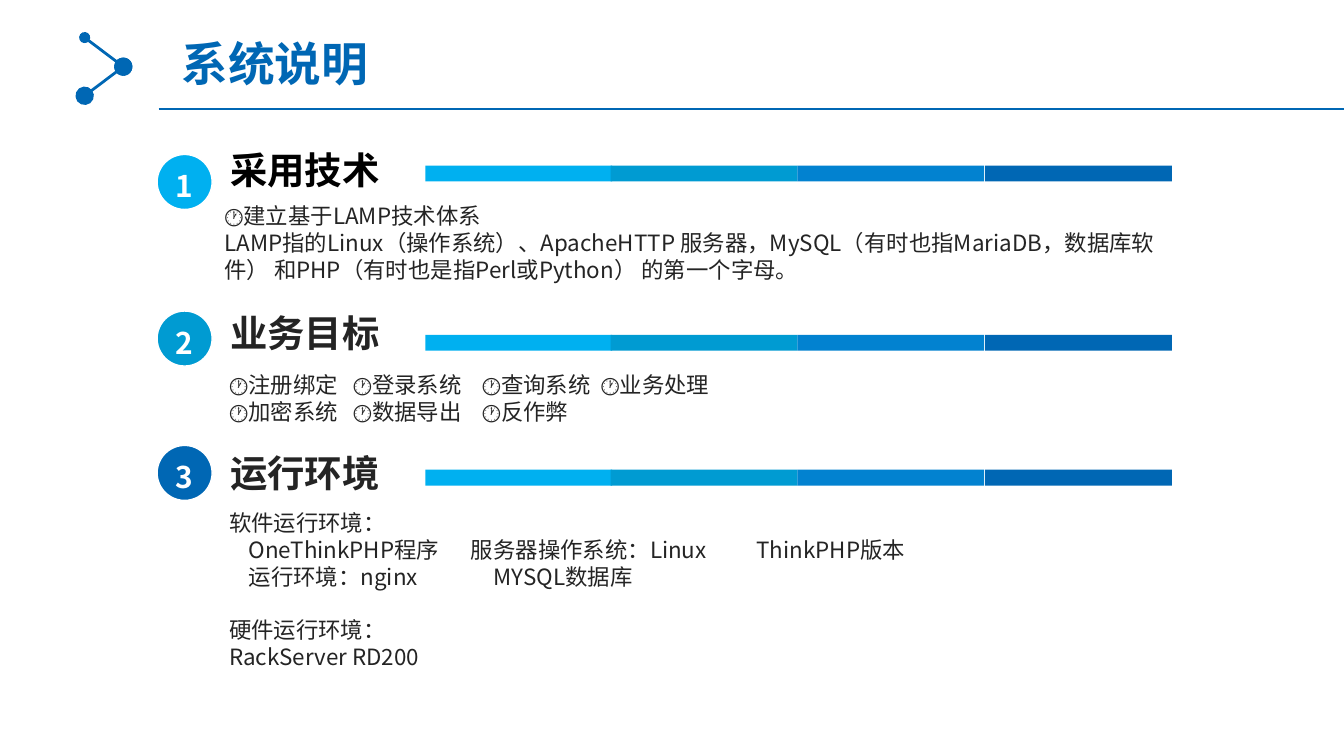
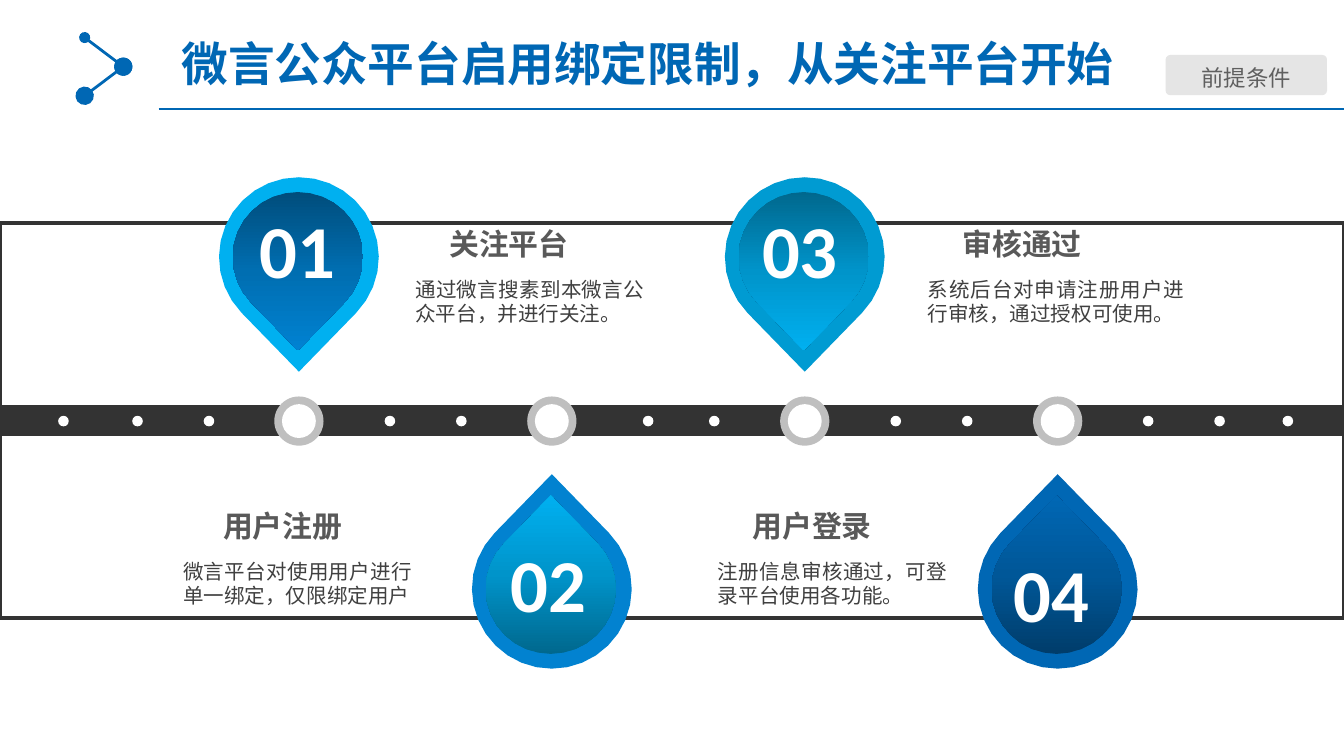
from copy import deepcopy
from math import acos, cos, pi, sin

from lxml.etree import SubElement
from pptx import Presentation
from pptx.dml.color import RGBColor
from pptx.enum.shapes import MSO_CONNECTOR, MSO_SHAPE
from pptx.enum.text import MSO_ANCHOR, MSO_AUTO_SIZE, PP_ALIGN
from pptx.oxml.ns import qn
from pptx.util import Cm, Pt

NOTO = "Noto Sans CJK SC"
SKY, TEAL, AZURE, NAVY = BLUES = "00B0F0", "009BD2", "0282D0", "0067B4"
WHITE, INK, ROAD = "FFFFFF", "242424", "333333"
TIGHT = (0.18, 0.1)
LOOSE = (0.25, 0.13)


def style(size, color, bold=False, name=NOTO, lead=1.2, align=None):
    """Bundle font values, line height in ems and alignment."""
    return {
        "font": {"size": Pt(size), "bold": bold, "name": name},
        "color": color,
        "para": {"line_spacing": Pt(size * lead) if lead else None,
                 "alignment": align},
    }


TITLE = style(25, NAVY, True, "Arial", 1.16)
TOPIC = style(20, INK, True)
FIRST = style(20, "000000", True, "Arial")
BODY = style(12, INK)
BADGE = style(16, WHITE, True, align=PP_ALIGN.CENTER)
COUNT = style(40, WHITE, True, "Calibri", None, PP_ALIGN.CENTER)
STEP = style(16, "595959", True, lead=1.18, align=PP_ALIGN.CENTER)
NOTE = style(11, "404040", align=PP_ALIGN.JUSTIFY)
TAG = style(12, "5F5F5F", lead=1.4, align=PP_ALIGN.CENTER)


def rgb(code):
    return RGBColor.from_string(code)


def apply(target, values):
    for key, value in values.items():
        setattr(target, key, value)


def write(frame, lines, look, pad=LOOSE, tabs=(), gaps=None):
    """Fill a frame; tabs holds stops per line, gaps points before a line."""
    apply(frame, {"margin_left": Cm(pad[0]), "margin_right": Cm(pad[0]),
                  "margin_top": Cm(pad[1]), "margin_bottom": Cm(pad[1])})
    for i, line in enumerate(lines):
        para = frame.paragraphs[0] if i == 0 else frame.add_paragraph()
        apply(para, look["para"])
        if gaps and i in gaps:
            para.space_before = Pt(gaps[i])
        if i < len(tabs) and tabs[i]:
            stops = SubElement(para._p.get_or_add_pPr(), qn("a:tabLst"))
            for stop in tabs[i]:
                SubElement(stops, qn("a:tab"), pos=str(Cm(stop)), algn="l")
        run = para.add_run()
        run.text = line
        apply(run.font, look["font"])
        run.font.color.rgb = rgb(look["color"])
        SubElement(run._r.get_or_add_rPr(), qn("a:ea"), typeface=NOTO)


def label(slide, box, lines, look, wrap=True, **more):
    frame = slide.shapes.add_textbox(*map(Cm, box)).text_frame
    apply(frame, {"word_wrap": wrap,
                  "auto_size": MSO_AUTO_SIZE.SHAPE_TO_FIT_TEXT})
    write(frame, lines, look, **more)


def paint(shape, fill, edge=None, width=0.75):
    shape.shadow.inherit = False
    shape.fill.solid()
    shape.fill.fore_color.rgb = rgb(fill)
    if edge:
        shape.line.color.rgb = rgb(edge)
        shape.line.width = Pt(width)
    else:
        shape.line.fill.background()


def block(slide, kind, box, fill, edge=None, width=0.75):
    shape = slide.shapes.add_shape(kind, *map(Cm, box))
    paint(shape, fill, edge, width)
    return shape


def disc(slide, x, y, size, fill, edge=None):
    """Draw a circle around the centre x, y."""
    box = (x - size / 2, y - size / 2, size, size)
    return block(slide, MSO_SHAPE.OVAL, box, fill, edge)


def link(slide, start, end, width, ends=()):
    """Draw a line; ends lists the sizes of its round heads."""
    line = slide.shapes.add_connector(
        MSO_CONNECTOR.STRAIGHT, *map(Cm, start + end))
    line.line.color.rgb = rgb(NAVY)
    line.line.width = Pt(width)
    for tag, size in zip(("a:headEnd", "a:tailEnd"), ends):
        SubElement(line.line._get_or_add_ln(), qn(tag),
                   type="oval", w=size, len=size)
    SubElement(line._element.spPr, qn("a:effectLst"))


def head(slide, title, width):
    label(slide, (3.18, 0.56, width, 1.37), [title], TITLE, wrap=False)
    top, mid, low = (1.6, 0.71), (2.33, 1.26), (1.6, 1.81)
    link(slide, top, mid, 1.5, ("med", "lg"))
    link(slide, mid, low, 1.5, ("lg", "lg"))
    link(slide, (3, 2.06), (25.4, 2.06), 1)


def drop(slide, x, y, size, way, fill):
    """Draw a round drop whose tip points down (way 1) or up (way -1)."""
    reach = 1.435
    open_at = acos(1 / reach)
    count = 24
    step = (2 * pi - 2 * open_at) / count
    turns = [open_at + step * i for i in range(count + 1)]
    points = [(Cm(x + size * sin(t)), Cm(y + way * size * cos(t)))
              for t in turns]
    build = slide.shapes.build_freeform(Cm(x), Cm(y + way * reach * size))
    build.add_line_segments(points, close=True)
    shape = build.convert_to_shape()
    paint(shape, fill)
    return shape


def shade(shape, colors, angle):
    fill = shape.fill
    fill.gradient()
    fill.gradient_angle = angle
    stops = shape._element.spPr.find(".//" + qn("a:gsLst"))
    stops.insert(1, deepcopy(stops[0]))
    for i, (stop, color) in enumerate(zip(fill.gradient_stops, colors)):
        stop.position = i / 2
        stop.color.rgb = rgb(color)


def topic(slide, mark, name, look, color, tops):
    """Draw badge, name and bar; tops gives the height of each."""
    badge, text, bar = tops
    label(slide, (4.17, text, 7.9, 1.09), [name], look, pad=TIGHT)
    shape = disc(slide, 3.49, badge, 1.04, color, WHITE)
    shape.text_frame.vertical_anchor = MSO_ANCHOR.TOP
    write(shape.text_frame, [mark], BADGE, TIGHT)
    for left, blue in zip((8.04, 11.54, 15.07, 18.62), BLUES):
        block(slide, MSO_SHAPE.RECTANGLE, (left, bar, 3.53, 0.3), blue)


def system(slide):
    head(slide, "系统说明", 4.04)
    topic(slide, "1", "采用技术", FIRST, SKY, (3.44, 2.69, 3.13))
    topic(slide, "2", "业务目标", TOPIC, TEAL, (6.4, 5.77, 6.33))
    topic(slide, "3", "运行环境", TOPIC, NAVY, (8.94, 8.41, 8.88))
    label(slide, (4.06, 3.73, 18.52, 1.75), [
        "🕐建立基于LAMP技术体系",
        "LAMP指的Linux（操作系统）、ApacheHTTP 服务器，MySQL"
        "（有时也指MariaDB，数据库软件） 和PHP"
        "（有时也是指Perl或Python） 的第一个字母。",
    ], BODY, pad=TIGHT)
    goals = (2.34, 4.78, 7.02)
    label(slide, (4.15, 6.92, 18.52, 1.24), [
        "🕐注册绑定\t🕐登录系统\t🕐查询系统\t🕐业务处理",
        "🕐加密系统\t🕐数据导出\t🕐反作弊",
    ], BODY, pad=TIGHT, tabs=(goals, goals))
    label(slide, (4.15, 9.52, 18.52, 3.78), [
        "软件运行环境：",
        "\tOneThinkPHP程序\t服务器操作系统：Linux\tThinkPHP版本",
        "\t运行环境：nginx\tMYSQL数据库",
        "硬件运行环境：",
        "RackServer RD200",
    ], BODY, pad=TIGHT, gaps={3: 14.4},
        tabs=((), (0.37, 4.57, 9.97), (0.37, 5)))


def steps(slide):
    head(slide, "微言公众平台启用绑定限制，从关注平台开始", 18.14)
    for top, height, fill in ((4.22, 7.46, ROAD), (8.2, 3.48, WHITE),
                              (4.22, 3.48, WHITE)):
        block(slide, MSO_SHAPE.RECTANGLE, (0, top, 25.4, height),
              fill, ROAD, 2.25)
    for x in (1.2, 2.6, 3.95, 7.37, 8.72, 12.25,
              13.5, 16.93, 18.28, 21.7, 23.05, 24.34):
        disc(slide, x, 7.96, 0.2, WHITE)

    aqua = ("00688E", "0094CA", "00B0F0")
    pins = (
        (SKY, ("004D7C", "006EB1", "0082D2"), 3.73),
        (AZURE, aqua, 10.03),
        (TEAL, aqua, 3.73),
        (NAVY, ("003D6B", "005798", "0067B4"), 10.22),
    )
    for i, (rim, core, top) in enumerate(pins):
        x = 5.65 + 4.78 * i
        y, way, angle = (11.13, -1, 90) if i % 2 else (4.86, 1, 270)
        disc(slide, x, 7.96, 0.93, "BFBFBF")
        disc(slide, x, 7.96, 0.64, WHITE)
        drop(slide, x, y, 1.51, way, rim)
        shade(drop(slide, x - 0.02, y, 1.23, way, rim), core, angle)
        label(slide, (4.59 + 4.75 * i, top, 2.06, 1.96), [f"{i + 1:02}"],
              COUNT, wrap=False)

    upper, lower = 4.14, 9.47
    for name, left, wide, top, text, start, span in (
        ("关注平台", 7.59, 4.06, upper,
         "通过微言搜素到本微言公众平台，并进行关注。", 7.6, 4.83),
        ("用户注册", 3.01, 4.67, lower,
         "微言平台对使用用户进行单一绑定，仅限绑定用户", 3.21, 4.83),
        ("审核通过", 17.29, 4.06, upper,
         "系统后台对申请注册用户进行审核，通过授权可使用。", 17.28, 5.36),
        ("用户登录", 13.32, 4.06, lower,
         "注册信息审核通过，可登录平台使用各功能。", 13.32, 4.83),
    ):
        label(slide, (left, top, wide, 0.94), [name], STEP)
        label(slide, (start, top + 0.96, span, 1.19), [text], NOTE)

    tag = block(slide, MSO_SHAPE.ROUNDED_RECTANGLE,
                (22.03, 1.04, 3.05, 0.76), "E5E5E5")
    tag.adjustments[0] = 0.115
    tag.text_frame.vertical_anchor = MSO_ANCHOR.MIDDLE
    write(tag.text_frame, ["前提条件"], TAG, (0.2, 0.1))


def main():
    deck = Presentation()
    apply(deck, {"slide_width": Cm(25.4), "slide_height": Cm(14.29)})
    for draw in (system, steps):
        draw(deck.slides.add_slide(deck.slide_layouts[6]))
    deck.save("out.pptx")


if __name__ == "__main__":
    main()
